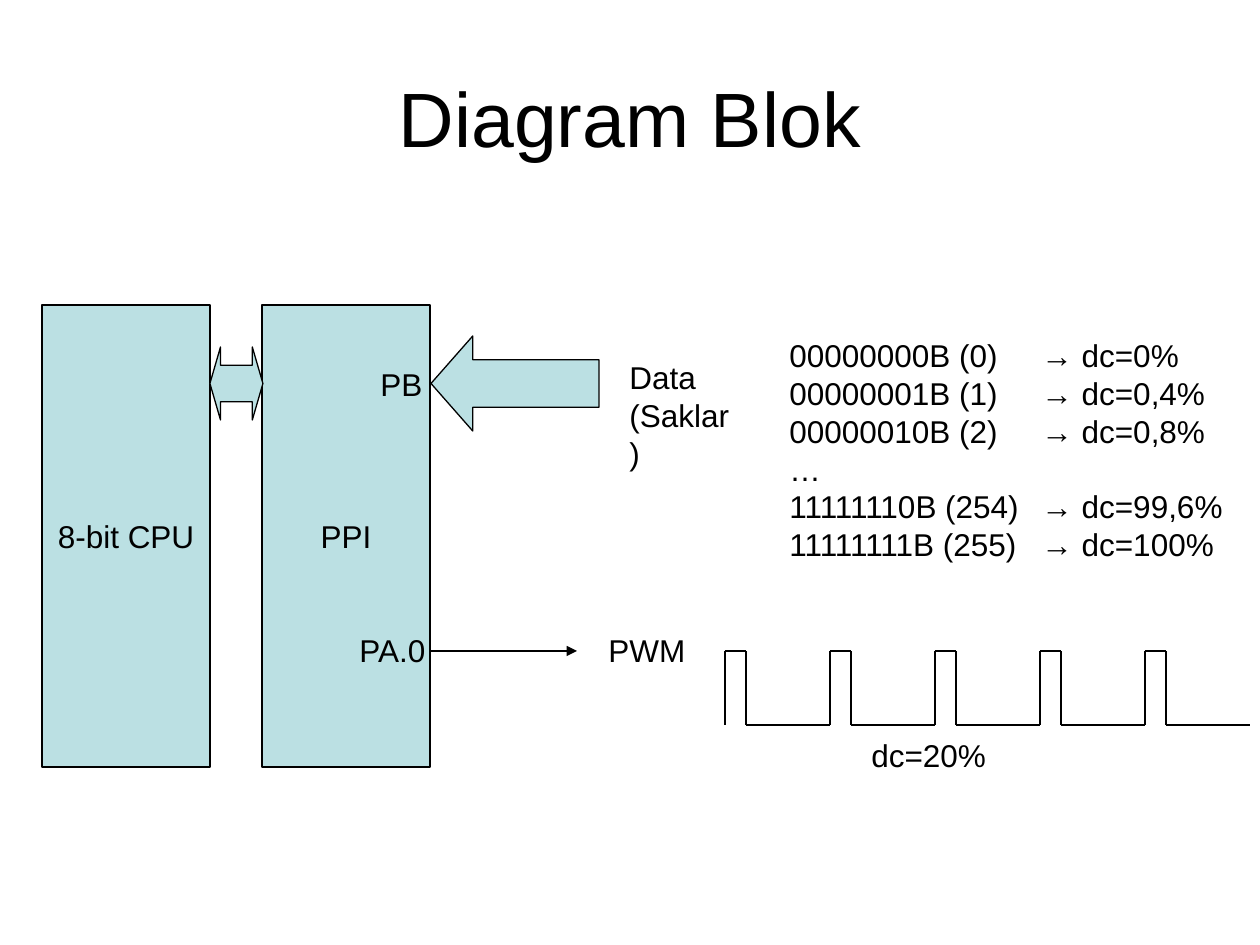
from lxml.etree import SubElement
from pptx import Presentation
from pptx.dml.color import RGBColor
from pptx.enum.shapes import MSO_CONNECTOR as CONN, MSO_SHAPE as SHAPE
from pptx.enum.text import MSO_ANCHOR as ANCHOR, PP_ALIGN as ALIGN
from pptx.oxml.ns import qn
from pptx.util import Emu, Pt

COLORS = {"ink": "000000", "fill": "BBE0E3"}
TITLE = ("Diagram Blok", (63, 38, 1134, 157))
BLOCKS = [
    ("8-bit CPU", SHAPE.RECTANGLE, (42, 305, 168, 462), ()),
    ("PPI", SHAPE.RECTANGLE, (262, 305, 168, 462), ()),
    ("", SHAPE.LEFT_ARROW, (431, 336, 168, 95), (0.5, 0.44)),
    ("", SHAPE.LEFT_RIGHT_ARROW, (210, 347, 53, 73), (0.5, 0.2)),
]
LABELS = [
    (["PB"], (368, 359, 67, 50)),
    (["PA.0"], (347, 625, 93, 50)),
    (["Data", "(Saklar)"], (617, 352, 135, 88)),
    (["PWM"], (596, 625, 102, 50)),
    (["dc=20%"], (859, 730, 140, 50)),
    ([
        "00000000B (0)\t→ dc=0%",
        "00000001B (1)\t→ dc=0,4%",
        "00000010B (2)\t→ dc=0,8%",
        "…",
        "11111110B (254)\t→ dc=99,6%",
        "11111111B (255)\t→ dc=100%",
    ], (777, 330, 459, 239)),
]
OUTPUT_ARROW = (431, 651, 577, 651)
WAVE = {"left": 725, "high": 651, "low": 725, "period": 105, "pulse": 21, "count": 5}
TAB = 252


def px(n):
    return Emu(round(n * 914400 / 126))


def color(name):
    return RGBColor.from_string(COLORS[name])


def write(tf, lines, size=18, align=ALIGN.LEFT, anchor=ANCHOR.TOP, wrap=False):
    tf.word_wrap = wrap
    tf.vertical_anchor = anchor
    for i, line in enumerate(lines):
        p = tf.paragraphs[0] if i == 0 else tf.add_paragraph()
        p.text = line
        p.alignment = align
        if "\t" in line:
            tabs = SubElement(p._p.get_or_add_pPr(), qn("a:tabLst"))
            SubElement(tabs, qn("a:tab"), pos=str(px(TAB)), algn="l")
        for key, value in {"size": Pt(size), "name": "Arial"}.items():
            setattr(p.font, key, value)
        p.font.color.rgb = color("ink")


def add_text(s, lines, box, **fmt):
    write(s.shapes.add_textbox(*map(px, box)).text_frame, lines, **fmt)


def add_block(s, text, kind, box, adjustments):
    sp = s.shapes.add_shape(kind, *map(px, box))
    sp.shadow.inherit = False
    sp.fill.solid()
    sp.fill.fore_color.rgb = color("fill")
    sp.line.color.rgb = color("ink")
    sp.line.width = Pt(0.75)
    for i, value in enumerate(adjustments):
        sp.adjustments[i] = value
    if text:
        write(sp.text_frame, [text], align=ALIGN.CENTER, anchor=ANCHOR.MIDDLE)


def add_line(s, *ends, arrow=False):
    c = s.shapes.add_connector(CONN.STRAIGHT, *map(px, ends))
    c.line.color.rgb = color("ink")
    c.line.width = Pt(0.75)
    if arrow:
        SubElement(c.line._get_or_add_ln(), qn("a:tailEnd"), type="triangle")
    SubElement(c._element.spPr, qn("a:effectLst"))


def add_wave(s, left, high, low, period, pulse, count):
    for i in range(count):
        rise = left + i * period
        fall = rise + pulse
        add_line(s, rise, low, rise, high)
        add_line(s, rise, high, fall, high)
        add_line(s, fall, low, fall, high)
        add_line(s, fall, low, rise + period, low)


def main():
    prs = Presentation()
    prs.slide_width, prs.slide_height = px(1260), px(945)
    s = prs.slides.add_slide(prs.slide_layouts[6])
    title, box = TITLE
    add_text(s, [title], box, size=44, align=ALIGN.CENTER, anchor=ANCHOR.MIDDLE, wrap=True)
    for block in BLOCKS:
        add_block(s, *block)
    for lines, box in LABELS:
        add_text(s, lines, box)
    add_line(s, *OUTPUT_ARROW, arrow=True)
    add_wave(s, **WAVE)
    prs.save("out.pptx")


if __name__ == "__main__":
    main()
